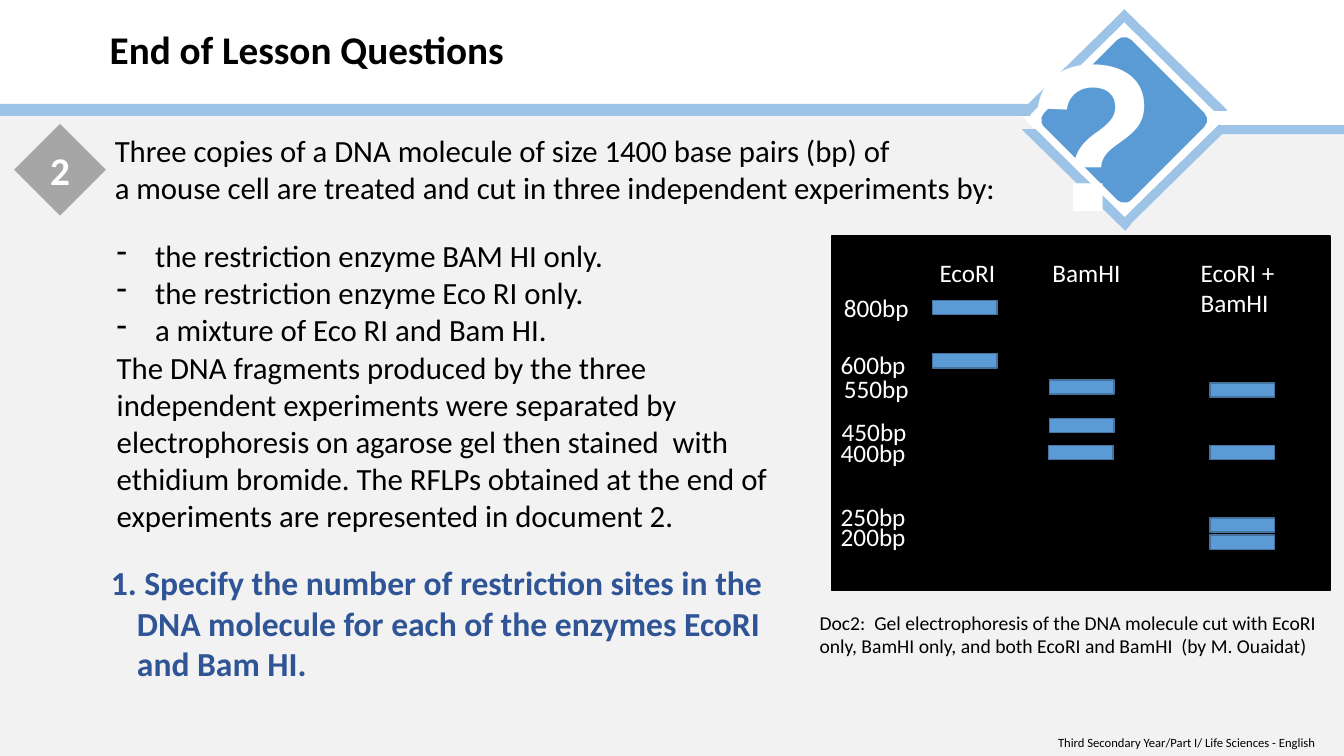
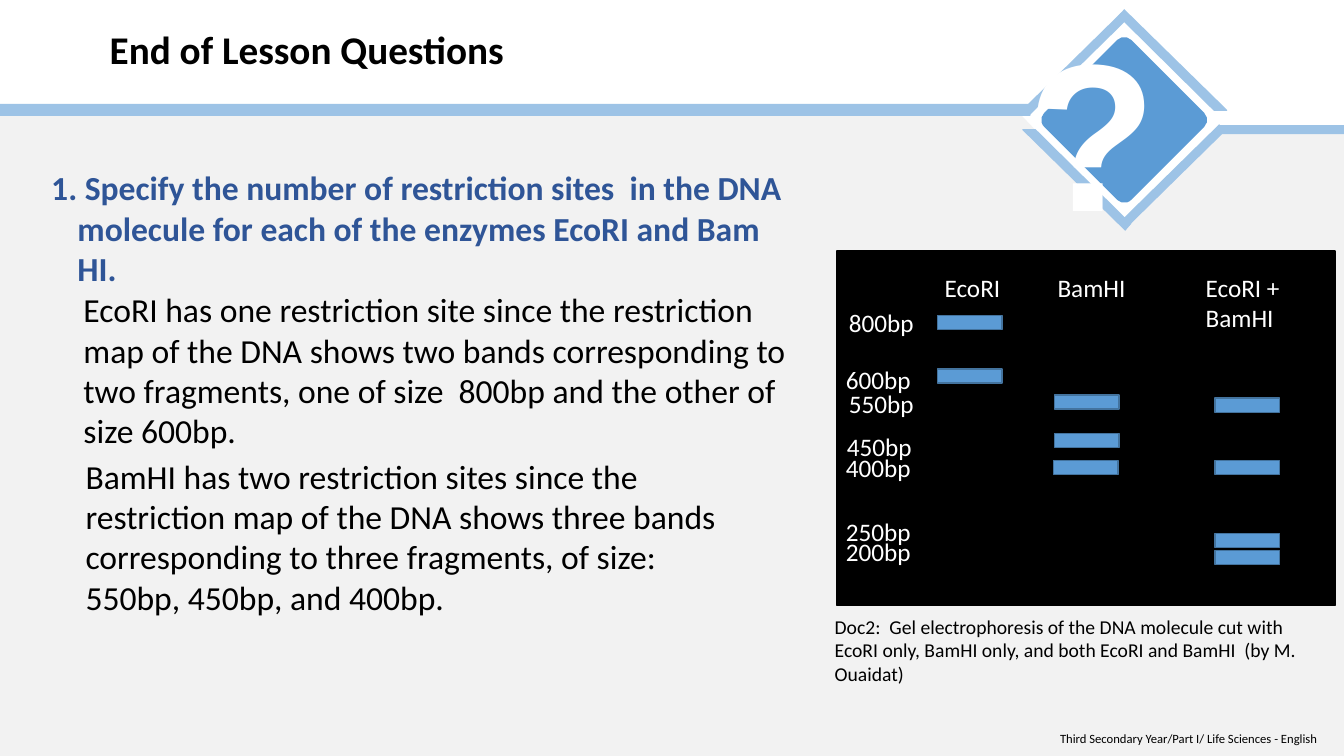
import pptx
import pptx.util
import pptx.dml.color
import pptx.enum.shapes
import pptx.enum.text
import lxml.etree

Inches = pptx.util.Inches
FORM = pptx.enum.shapes.MSO_SHAPE
ALIGN = pptx.enum.text.PP_ALIGN
ANCHOR = pptx.enum.text.MSO_ANCHOR
HUE = {
    "black": "000000", "white": "FFFFFF", "pale": "F2F2F2", "gray": "A6A6A6",
    "blue": "5B9BD5", "sky": "9DC3E6", "edge": "43739E", "navy": "2F5597",
}


def paint(item, fill, line=None):
    item.shadow.inherit = False
    item.fill.solid()
    item.fill.fore_color.rgb = pptx.dml.color.RGBColor.from_string(HUE[fill])
    if line:
        item.line.color.rgb = pptx.dml.color.RGBColor.from_string(HUE[line])
        item.line.width = pptx.util.Pt(1)
    else:
        item.line.fill.background()


def text(host, at, *lines, size=18, hue="black", bold=False, font="Calibri",
         align=ALIGN.LEFT, anchor=ANCHOR.TOP, left=0, first=0, space=None,
         mark=None, form=None, fill=None):
    spot = [Inches(n) for n in at]
    if form:
        box = host.add_shape(form, *spot)
        paint(box, fill)
    else:
        box = host.add_textbox(*spot)
    frame = box.text_frame
    frame.word_wrap = True
    frame.vertical_anchor = anchor
    if form:
        frame.margin_left = frame.margin_right = 0
        frame.margin_top = frame.margin_bottom = 0
    for num, line in enumerate(lines):
        para = frame.add_paragraph() if num else frame.paragraphs[0]
        para.alignment = align
        if space:
            para.line_spacing = space
        prop = para._p.get_or_add_pPr()
        if left:
            prop.set("marL", str(Inches(left)))
            prop.set("indent", str(Inches(first)))
        if mark:
            name = pptx.oxml.ns.qn("a:buChar")
            lxml.etree.SubElement(prop, name).set("char", mark)
        run = para.add_run()
        run.text = line
        run.font.name = font
        run.font.size = pptx.util.Pt(size)
        run.font.bold = bold
        run.font.color.rgb = pptx.dml.color.RGBColor.from_string(HUE[hue])


BASE = [(13.33, 1.26), (12.1, 1.26), (11.16, 2.23), (10.07, 1.08),
        (0, 1.08), (0, 7.5), (13.33, 7.5)]
EDGES = [
    [(11.15, 0.09), (12.17, 1.09), (12.17, 1.1), (12.04, 1.1), (11.09, 0.16)],
    [(11.16, 2.29), (10.14, 1.29), (10.14, 1.28), (10.27, 1.28), (11.22, 2.22)],
]
BARS = [
    (0, 1.03, 10.22, 0.12, 0), (10.62, -0.05, 0.09, 1.37, 45.5),
    (12.09, 1.24, 1.24, 0.09, 0), (11.59, 1.06, 0.09, 1.37, 45.5),
]
LANES = [("EcoRI", 0.97, 1.19), ("BamHI", 2.09, 1.19), ("EcoRI + BamHI", 3.56, 1.6)]
SIZES = [
    ("800bp", 0.02, 0.51), ("600bp", -0.01, 1.08), ("550bp", 0.02, 1.31),
    ("450bp", 0, 1.74), ("400bp", -0.01, 1.95), ("250bp", -0.01, 2.58),
    ("200bp", -0.01, 2.78),
]
BANDS = [
    (1, 0.64), (1, 1.17), (2.16, 1.43), (2.16, 1.81), (2.15, 2.08),
    (3.75, 1.46), (3.75, 2.08), (3.75, 2.8), (3.75, 2.97),
]
NOTE = ("Doc2:  Gel electrophoresis of the DNA molecule cut with EcoRI only, "
        "BamHI only, and both EcoRI and BamHI  (by M. Ouaidat)")
PAGES = [
    {"gel": (8.25, 2.34), "note": (8.03, 6.01, 5.3, 0.57), "foot": (3.27, 7.26, 9.87, 0.24)},
    {"gel": (8.3, 2.49), "note": (8.18, 6.05, 5.05, 0.81), "foot": (3.29, 7.22, 9.87, 0.24)},
]

deck = pptx.Presentation()
deck.slide_width = Inches(13.33)
deck.slide_height = Inches(7.5)
decks = []

for page in PAGES:
    slide = deck.slides.add_slide(deck.slide_layouts[6])
    host = slide.shapes
    decks.append(host)

    for spots, fill in [(BASE, "pale")] + [(edge, "sky") for edge in EDGES]:
        spots = [(Inches(x), Inches(y)) for x, y in spots]
        pen = host.build_freeform(*spots[0], scale=1.0)
        pen.add_line_segments(spots[1:], close=True)
        paint(pen.convert_to_shape(), fill)
    for *at, turn in BARS:
        bar = host.add_shape(FORM.RECTANGLE, *[Inches(n) for n in at])
        bar.rotation = turn
        paint(bar, "sky")
    badge = host.add_shape(FORM.ROUNDED_RECTANGLE, Inches(10.54), Inches(0.58),
                           Inches(1.22), Inches(1.22))
    badge.adjustments[0] = 0.08
    badge.rotation = 45
    paint(badge, "blue")
    text(host, (10.07, -0.03, 1.5, 2.63), "?", size=150, hue="white", bold=True,
         font="Arial", align=ALIGN.RIGHT)
    text(host, (0.99, 0.01, 9, 1), "End of Lesson Questions", size=28, bold=True,
         anchor=ANCHOR.MIDDLE, space=0.9)

    gel = host.add_group_shape().shapes
    x, y = page["gel"]
    plate = gel.add_shape(FORM.RECTANGLE, Inches(x), Inches(y), Inches(4.94), Inches(3.52))
    paint(plate, "black", "black")
    for name, dx, wide in LANES:
        text(gel, (x + dx, y + 0.16, wide, 0.39), name, hue="white")
    for name, dx, dy in SIZES:
        text(gel, (x + dx, y + dy, 1.19, 0.4), name, hue="white")
    for dx, dy in BANDS:
        band = gel.add_shape(FORM.RECTANGLE, Inches(x + dx), Inches(y + dy),
                             Inches(0.64), Inches(0.14))
        paint(band, "blue", "edge")

    text(host, page["note"], NOTE, size=14)
    text(host, page["foot"], "Third Secondary Year/Part I/ Life Sciences - English",
         size=9, align=ALIGN.RIGHT, space=0.9)

task, reply = decks

text(task, (0.14, 1.23, 0.91, 0.91), "2", size=28, hue="white", bold=True,
     align=ALIGN.CENTER, anchor=ANCHOR.MIDDLE, form=FORM.DIAMOND, fill="gray")
text(task, (1.04, 1.26, 9.3, 0.84),
     "Three copies of a DNA molecule of size 1400 base pairs (bp) of",
     "a mouse cell are treated and cut in three independent experiments by:", size=22)
text(task, (1.06, 2.3, 6.9, 1.2),
     "the restriction enzyme BAM HI only.",
     "the restriction enzyme Eco RI only.",
     "a mixture of Eco RI and Bam HI.", size=22, left=0.38, first=-0.38, mark="-")
text(task, (1.06, 3.41, 6.9, 1.95),
     "The DNA fragments produced by the three independent experiments were separated "
     "by electrophoresis on agarose gel then stained  with ethidium bromide. The RFLPs "
     "obtained at the end of experiments are represented in document 2.", size=22)
text(task, (0.57, 5.53, 7.4, 1.31),
     "1. Specify the number of restriction sites in the DNA molecule for each of the "
     "enzymes EcoRI and Bam HI.", size=24, hue="navy", bold=True, left=0.69, first=-0.26)

text(reply, (0.11, 1.61, 7.79, 1.31),
     "1. Specify the number of restriction sites  in the DNA molecule for each of the "
     "enzymes EcoRI and Bam HI.", size=24, hue="navy", bold=True, left=0.56, first=-0.26)
text(reply, (0.73, 2.82, 7.17, 1.72),
     "EcoRI has one restriction site since the restriction map of the DNA shows two "
     "bands corresponding to two fragments, one of size  800bp and the other of size "
     "600bp.", size=24)
text(reply, (0.75, 4.47, 7.08, 1.72),
     "BamHI has two restriction sites since the",
     "restriction map of the DNA shows three bands",
     "corresponding to three fragments, of size:",
     "550bp, 450bp, and 400bp.", size=24)

deck.save("out.pptx")
